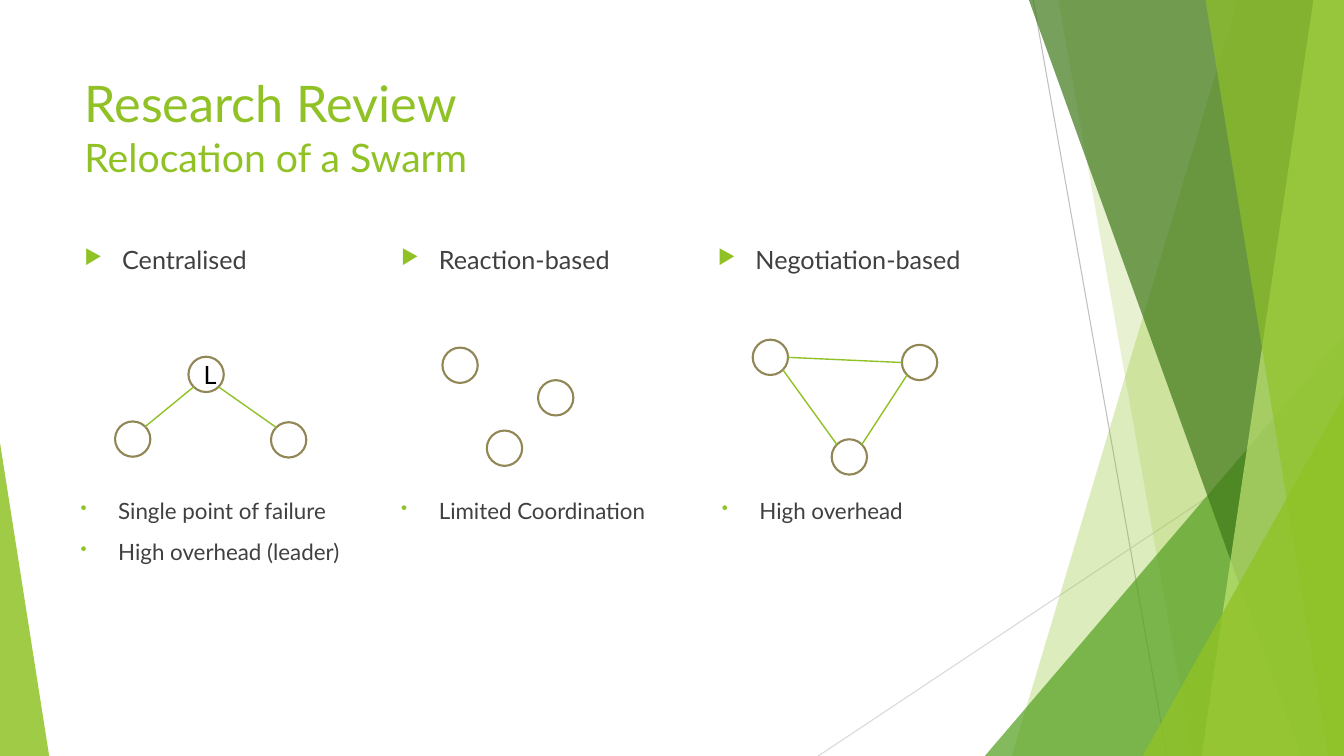
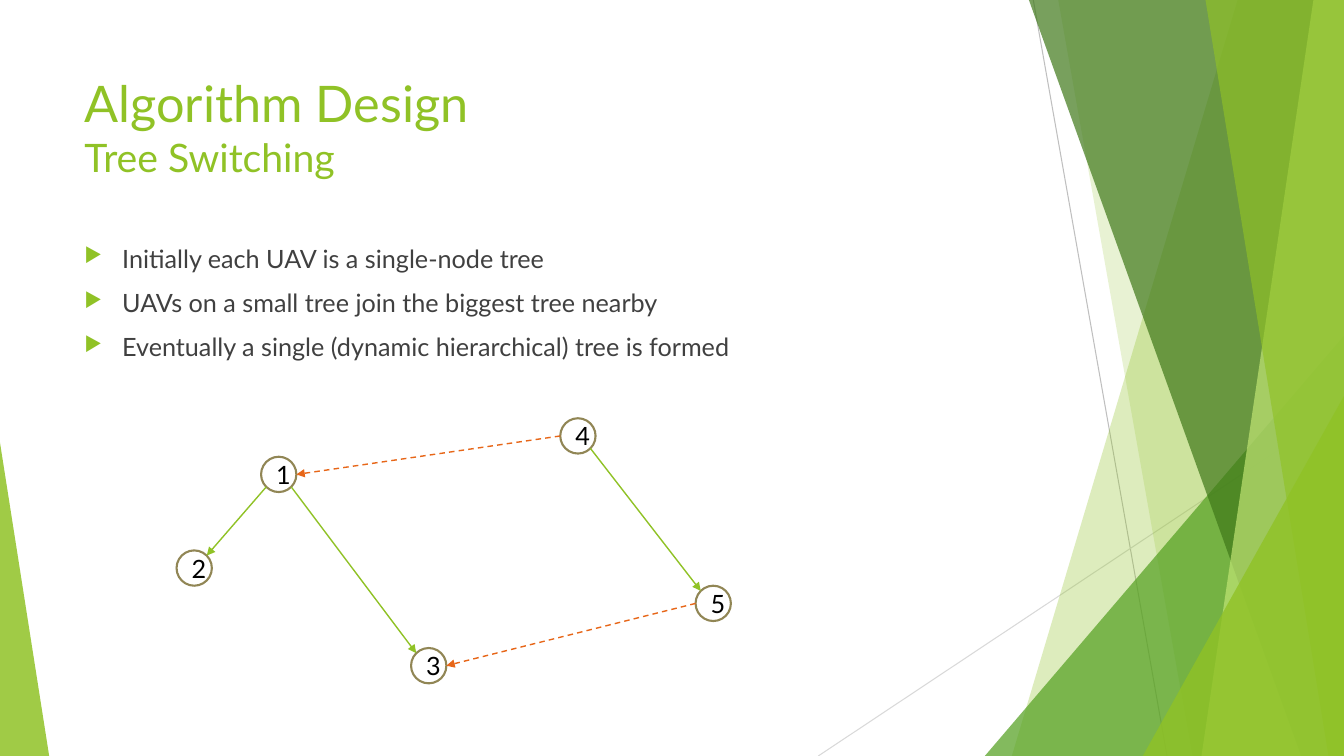
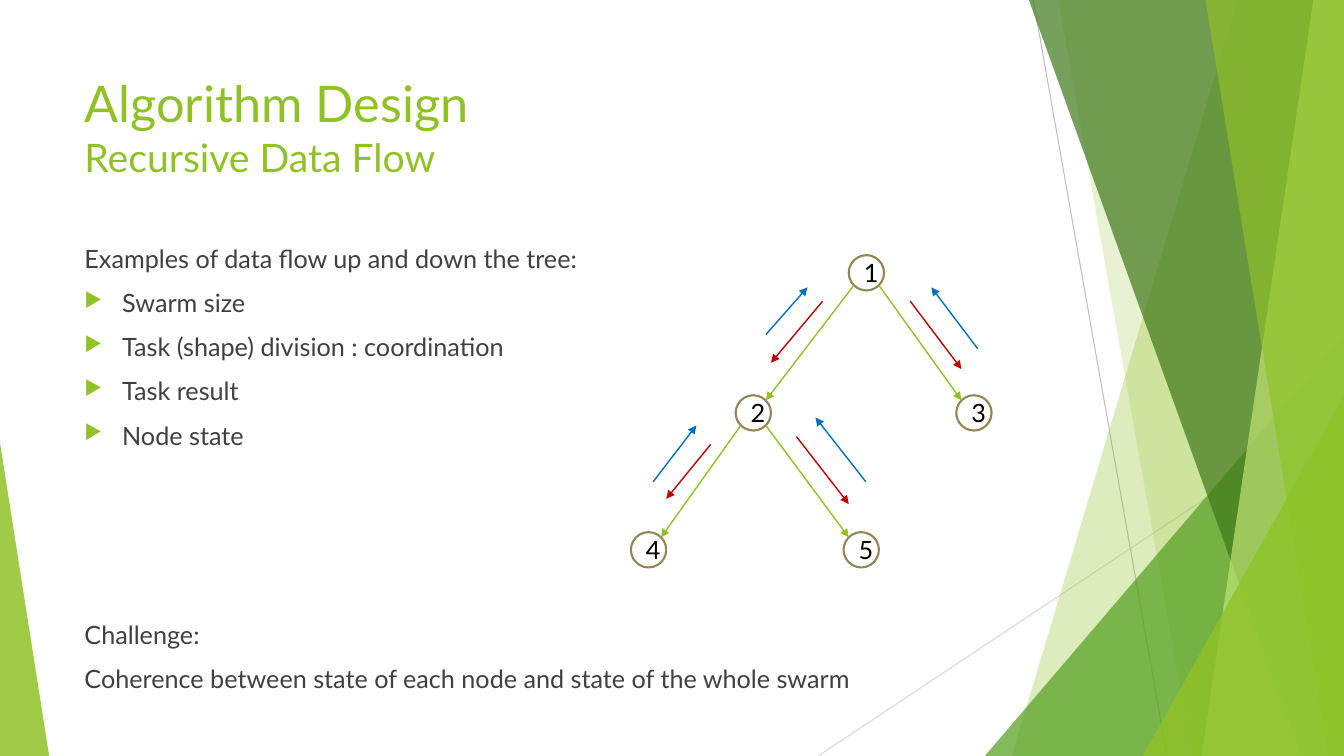
from lxml import etree
from pptx import Presentation
from pptx.dml.color import RGBColor
from pptx.enum.dml import MSO_LINE
from pptx.enum.shapes import MSO_CONNECTOR, MSO_SHAPE
from pptx.enum.text import MSO_ANCHOR, PP_ALIGN
from pptx.oxml.ns import qn
from pptx.util import Cm, Pt

STRAIGHT = MSO_CONNECTOR.STRAIGHT
TRIANGLE = MSO_SHAPE.ISOSCELES_TRIANGLE
OVAL = MSO_SHAPE.OVAL
DASH = MSO_LINE.DASH
TOP = MSO_ANCHOR.TOP
CENTER = PP_ALIGN.CENTER

WIDTH, HEIGHT = 33.87, 19.05
LEFT, BODY_TOP, BODY_WIDTH = 1.88, 6.0, 23.88
NODE = 0.89
INDENT = 0.95
ARROW, DOT = "▶", "•"

COLORS = {
    "white": "FFFFFF", "lime": "90C226", "green": "54A021", "forest": "3F7819",
    "pale": "C0E474", "text": "404040", "black": "000000", "ring": "918655",
    "gray": "BFBFBF", "light_gray": "D9D9D9",
    "orange": "E76618", "red": "C00000", "blue": "0070C0",
}
FONTS = {
    "title": ({"name": "Lato", "size": Pt(36)}, "lime"),
    "subtitle": ({"name": "Lato", "size": Pt(28)}, "lime"),
    "body": ({"name": "Lato", "size": Pt(18)}, "text"),
    "note": ({"name": "Lato", "size": Pt(16)}, "text"),
    "node": ({"name": "Lato", "size": Pt(18)}, "black"),
}
DIAGONAL = 0.71
SITES = {
    "w": (-1, 0), "e": (1, 0),
    "nw": (-DIAGONAL, -DIAGONAL), "ne": (DIAGONAL, -DIAGONAL),
    "sw": (-DIAGONAL, DIAGONAL), "se": (DIAGONAL, DIAGONAL),
}


def rgb(name):
    return RGBColor.from_string(COLORS[name])


def add_run(p, text, font):
    r = p.add_run()
    r.text = text
    values, color = FONTS[font]
    for key, value in values.items():
        setattr(r.font, key, value)
    r.font.color.rgb = rgb(color)


def add_bullet(p, char):
    pPr = p._p.get_or_add_pPr()
    pPr.set("marL", str(Cm(INDENT)))
    pPr.set("indent", str(-Cm(INDENT)))
    color = etree.SubElement(pPr, qn("a:buClr"))
    etree.SubElement(color, qn("a:srgbClr"), val=COLORS["lime"])
    etree.SubElement(pPr, qn("a:buSzPct"), val="80000")
    etree.SubElement(pPr, qn("a:buChar"), char=char)


def add_frame(s, x, y, w, h):
    tf = s.shapes.add_textbox(Cm(x), Cm(y), Cm(w), Cm(h)).text_frame
    tf.word_wrap = True
    tf.vertical_anchor = TOP
    return tf


def add_text(s, x, y, w, h, items, font="body"):
    tf = add_frame(s, x, y, w, h)
    for i, (bullet, text) in enumerate(items):
        p = tf.add_paragraph() if i else tf.paragraphs[0]
        p.space_before = Pt(10)
        if bullet:
            add_bullet(p, bullet)
        add_run(p, text, font)


def add_title(s, title, subtitle):
    p = add_frame(s, LEFT, 1.7, BODY_WIDTH, 3.66).paragraphs[0]
    add_run(p, title, "title")
    p.add_line_break()
    add_run(p, subtitle, "subtitle")


def add_line(s, start, end, color="lime", width=1, dash=None, arrow=False):
    points = [Cm(v) for v in (*start, *end)]
    line = s.shapes.add_connector(STRAIGHT, *points)
    line.line.color.rgb = rgb(color)
    line.line.width = Pt(width)
    if dash:
        line.line.dash_style = dash
    spPr = line._element.spPr
    if arrow:
        etree.SubElement(spPr.find(qn("a:ln")), qn("a:tailEnd"), type="triangle")
    etree.SubElement(spPr, qn("a:effectLst"))


def tint(sp, color, opacity):
    sp.shadow.inherit = False
    sp.line.fill.background()
    sp.fill.solid()
    sp.fill.fore_color.rgb = rgb(color)
    fill = sp._element.xpath("./p:spPr/a:solidFill/a:srgbClr")[0]
    etree.SubElement(fill, qn("a:alpha"), val=str(opacity * 1000))


def add_band(s, top_x, bottom_x, color, opacity):
    fb = s.shapes.build_freeform(Cm(top_x), 0)
    corners = [(WIDTH, 0), (WIDTH, HEIGHT), (bottom_x, HEIGHT)]
    fb.add_line_segments([(Cm(x), Cm(y)) for x, y in corners], close=True)
    tint(fb.convert_to_shape(), color, opacity)


def add_wedge(s, x, y, w, apex, color, opacity):
    sp = s.shapes.add_shape(TRIANGLE, Cm(x), Cm(y), Cm(w), Cm(HEIGHT - y))
    sp.adjustments[0] = apex
    tint(sp, color, opacity)


def add_backdrop(s):
    add_line(s, (26.04, 0), (29.41, HEIGHT), "gray", 0.75)
    add_line(s, (WIDTH, 10.24), (20.62, HEIGHT), "light_gray", 0.75)
    add_band(s, 31.19, 25.5, "lime", 30)
    add_band(s, 26.67, 30.05, "lime", 20)
    add_wedge(s, 24.82, 8.46, WIDTH - 24.82, 1, "green", 72)
    add_band(s, 25.93, 32.79, "forest", 70)
    add_band(s, 33.1, 30.28, "pale", 70)
    add_band(s, 30.38, 33.48, "lime", 65)
    add_wedge(s, 28.8, 9.98, WIDTH - 28.8, 1, "lime", 80)
    add_wedge(s, 0, 11.15, 1.24, 0, "lime", 85)


def new_slide(prs, title, subtitle):
    s = prs.slides.add_slide(prs.slide_layouts[6])
    add_backdrop(s)
    add_title(s, title, subtitle)
    return s


def add_node(s, x, y, label):
    sp = s.shapes.add_shape(OVAL, Cm(x), Cm(y), Cm(NODE), Cm(NODE))
    sp.shadow.inherit = False
    sp.fill.solid()
    sp.fill.fore_color.rgb = rgb("white")
    sp.line.color.rgb = rgb("ring")
    sp.line.width = Pt(1.5)
    if label:
        p = sp.text_frame.paragraphs[0]
        p.alignment = CENTER
        add_run(p, label, "node")


def add_graph(s, x, y, nodes, edges, labels=(), **style):
    def site(name, side):
        dx, dy = SITES[side]
        nx, ny = nodes[name]
        return x + nx + NODE / 2 * (1 + dx), y + ny + NODE / 2 * (1 + dy)

    for name, (nx, ny) in nodes.items():
        add_node(s, x + nx, y + ny, name if name in labels else "")
    for a, side_a, b, side_b in edges:
        add_line(s, site(a, side_a), site(b, side_b), **style)


def add_links(s, x, y, links, color):
    for x1, y1, x2, y2 in links:
        add_line(s, (x + x1, y + y1), (x + x2, y + y2), color, arrow=True)


def review_slide(prs):
    s = new_slide(prs, "Research Review", "Relocation of a Swarm")
    columns = [
        ("Centralised", ["Single point of failure", "High overhead (leader)"],
         {"L": (2.87, 0.49), "a": (1.02, 2.12), "b": (4.95, 2.14)},
         [("L", "sw", "a", "ne"), ("L", "se", "b", "nw")]),
        ("Reaction-based", ["Limited Coordination"],
         {"a": (1.29, 0.26), "b": (3.7, 1.08), "c": (2.41, 2.35)}, []),
        ("Negotiation-based", ["High overhead"],
         {"a": (1.13, 0.06), "b": (4.89, 0.19), "c": (3.12, 2.57)},
         [("a", "se", "c", "nw"), ("b", "sw", "c", "ne"), ("a", "e", "b", "w")]),
    ]
    for i, (heading, notes, nodes, edges) in enumerate(columns):
        x = LEFT + 7.98 * i
        add_text(s, x, 6.03, 7.67, 1.35, [(ARROW, heading)])
        add_graph(s, x, 8.5, nodes, edges, labels="L")
        add_text(s, 1.78 + 8.08 * i, 12.4, 7.44, 3.33,
                 [(DOT, note) for note in notes], "note")


def switching_slide(prs):
    s = new_slide(prs, "Algorithm Design", "Tree Switching")
    add_text(s, LEFT, BODY_TOP, BODY_WIDTH, 10.77, [
        (ARROW, "Initially each UAV is a single-node tree"),
        (ARROW, "UAVs on a small tree join the biggest tree nearby"),
        (ARROW, "Eventually a single (dynamic hierarchical) tree is formed"),
    ])
    nodes = {"1": (4.7, 1.51), "2": (2.57, 3.87), "3": (8.48, 6.33),
             "4": (12.24, 0.54), "5": (15.65, 4.76)}
    branches = [("1", "sw", "2", "ne"), ("1", "se", "3", "nw"), ("4", "se", "5", "nw")]
    joins = [("4", "w", "1", "e"), ("5", "w", "3", "e")]
    add_graph(s, LEFT, 10, nodes, branches, nodes, arrow=True)
    for a, side_a, b, side_b in joins:
        start, end = [
            (LEFT + nodes[n][0] + (NODE if side == "e" else 0), 10 + nodes[n][1] + NODE / 2)
            for n, side in ((a, side_a), (b, side_b))
        ]
        add_line(s, start, end, "orange", dash=DASH, arrow=True)


def flow_slide(prs):
    s = new_slide(prs, "Algorithm Design", "Recursive Data Flow")
    topics = ["Swarm size", "Task (shape) division : coordination",
              "Task result", "Node state"]
    add_text(s, LEFT, BODY_TOP, 14.02, 8.43,
             [(None, "Examples of data flow up and down the tree:")]
             + [(ARROW, topic) for topic in topics])
    nodes = {"1": (6.39, 0.43), "2": (3.54, 3.96), "3": (9.1, 3.96),
             "4": (0.9, 7.41), "5": (6.26, 7.41)}
    branches = [("1", "sw", "2", "ne"), ("1", "se", "3", "nw"),
                ("2", "sw", "4", "ne"), ("2", "se", "5", "nw")]
    down = [(7.94, 1.59, 9.23, 3.3), (5.73, 1.59, 4.43, 3.14),
            (2.91, 5.2, 1.79, 6.57), (5.07, 5, 6.39, 6.7)]
    up = [(4.3, 2.43, 5.35, 1.24), (1.46, 6.14, 2.55, 4.72),
          (9.64, 2.79, 8.47, 1.24), (6.82, 6.14, 5.55, 4.52)]
    x, y = 15, 6
    add_graph(s, x, y, nodes, branches, nodes, arrow=True)
    add_links(s, x, y, down, "red")
    add_links(s, x, y, up, "blue")
    add_text(s, LEFT, 15.47, 23.09, 2.49, [
        (None, "Challenge:"),
        (None, "Coherence between state of each node and state of the whole swarm"),
    ])


def main():
    prs = Presentation()
    prs.slide_width, prs.slide_height = Cm(WIDTH), Cm(HEIGHT)
    review_slide(prs)
    switching_slide(prs)
    flow_slide(prs)
    prs.save("out.pptx")


if __name__ == "__main__":
    main()
